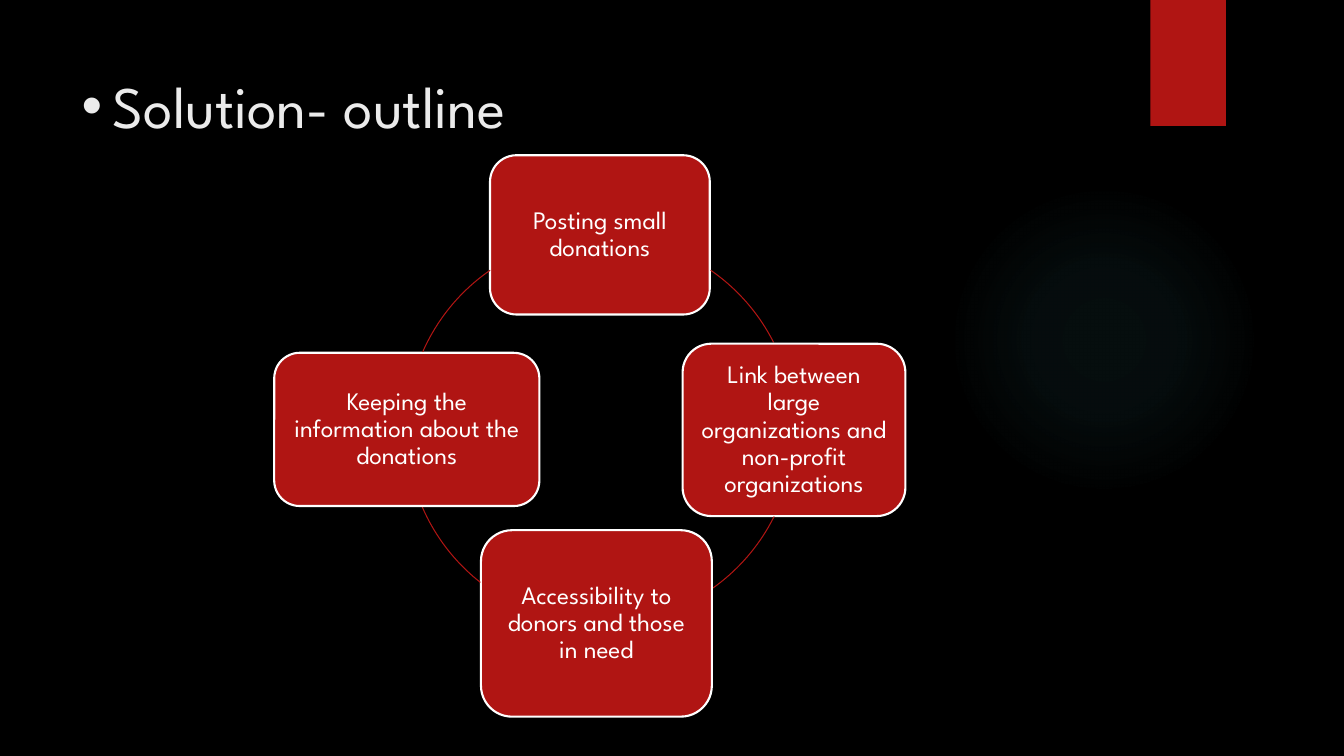
from dataclasses import dataclass

from lxml.etree import SubElement
from pptx import Presentation
from pptx.dml.color import RGBColor
from pptx.enum.shapes import MSO_SHAPE
from pptx.enum.text import MSO_ANCHOR, MSO_AUTO_SIZE, PP_ALIGN
from pptx.oxml import parse_xml
from pptx.oxml.ns import nsdecls, qn
from pptx.util import Inches, Pt

FONT = "League Spartan"
COLORS = {
    "background": "000000",
    "accent": "B01513",
    "title": "EBEBEB",
    "text": "FFFFFF",
    "glow": "50B9C1",
}
RING = (4.03, 2.34, 3.85, 3.85)


@dataclass
class Step:
    """A box of the cycle and the arc (in degrees) that follows it."""
    text: str
    box: tuple[float, float, float, float]
    arc: tuple[float, float]


STEPS = [
    Step("Posting small donations", (4.86, 1.54, 2.18, 1.58), (304.6, 333.2)),
    Step("Link between large organizations and non-profit organizations",
         (6.77, 3.41, 2.21, 1.71), (26.5, 54.5)),
    Step("Accessibility to donors and those in need",
         (4.77, 5.26, 2.29, 1.85), (128.2, 156.6)),
    Step("Keeping the information about the donations",
         (2.72, 3.5, 2.63, 1.52), (203.7, 235.4)),
]


def rgb(name: str) -> RGBColor:
    return RGBColor.from_string(COLORS[name])


def add_shape(s, kind, box, fill=None, line=None, width=1.0):
    sp = s.shapes.add_shape(kind, *map(Inches, box))
    sp.shadow.inherit = False
    if fill:
        sp.fill.solid()
        sp.fill.fore_color.rgb = rgb(fill)
    else:
        sp.fill.background()
    if line:
        sp.line.color.rgb = rgb(line)
        sp.line.width = Pt(width)
    else:
        sp.line.fill.background()
    return sp


def format_run(p, size: float, color: str) -> None:
    font = p.runs[0].font
    font.name = FONT
    font.size = Pt(size)
    font.color.rgb = rgb(color)


def add_glow(s) -> None:
    sp = add_shape(s, MSO_SHAPE.OVAL, (9.41, 1.83, 3.08, 3.08))
    stops = "".join(
        f'<a:gs pos="{pos * 1000}"><a:srgbClr val="{COLORS["glow"]}">'
        f'<a:alpha val="{alpha * 1000}"/></a:srgbClr></a:gs>'
        for pos, alpha in ((0, 7), (36, 6), (69, 0)))
    gradient = parse_xml(
        f'<a:gradFill {nsdecls("a")}><a:gsLst>{stops}</a:gsLst>'
        '<a:path path="circle"><a:fillToRect l="50000" t="50000" r="50000" b="50000"/>'
        '</a:path></a:gradFill>')
    spPr = sp.element.spPr
    spPr.replace(spPr.find(qn("a:noFill")), gradient)


def add_title(s, text: str) -> None:
    sp = s.shapes.title
    sp.left, sp.top, sp.width, sp.height = map(Inches, (0.71, 0.5, 10.29, 1.53))
    tf = sp.text_frame
    tf.text = text
    tf.auto_size = MSO_AUTO_SIZE.NONE
    tf.vertical_anchor = MSO_ANCHOR.TOP
    tf.margin_top = Inches(0.19)
    p = tf.paragraphs[0]
    p.alignment = PP_ALIGN.LEFT
    pPr = p._p.get_or_add_pPr()
    pPr.set("marL", str(Inches(0.31)))
    pPr.set("indent", str(-Inches(0.31)))
    SubElement(pPr, qn("a:buFont")).set("typeface", "Arial")
    SubElement(pPr, qn("a:buChar")).set("char", "•")
    format_run(p, 42, "title")


def add_step(s, step: Step) -> None:
    sp = add_shape(s, MSO_SHAPE.ROUNDED_RECTANGLE, step.box, "accent", "text", 1.5)
    tf = sp.text_frame
    tf.text = step.text
    tf.word_wrap = True
    tf.vertical_anchor = MSO_ANCHOR.MIDDLE
    tf.margin_left = tf.margin_right = Inches(0.07)
    tf.margin_top = tf.margin_bottom = Inches(0.07)
    p = tf.paragraphs[0]
    p.alignment = PP_ALIGN.CENTER
    p.line_spacing = 0.9
    format_run(p, 18, "text")

    # Arc to the next box; adjustments count 0.6 per degree
    arc = add_shape(s, MSO_SHAPE.ARC, RING, line="accent", width=0.75)
    for i, angle in enumerate(step.arc):
        arc.adjustments[i] = angle * 0.6


def main() -> None:
    prs = Presentation()
    prs.slide_width, prs.slide_height = Inches(13.33), Inches(7.5)
    s = prs.slides.add_slide(prs.slide_layouts[5])
    s.background.fill.solid()
    s.background.fill.fore_color.rgb = rgb("background")

    # Decoration
    add_glow(s)
    add_shape(s, MSO_SHAPE.RECTANGLE, (11.41, 0, 0.75, 1.25), "accent")

    # Title and cycle
    add_title(s, "Solution- outline")
    for step in STEPS:
        add_step(s, step)

    prs.save("out.pptx")


if __name__ == "__main__":
    main()
